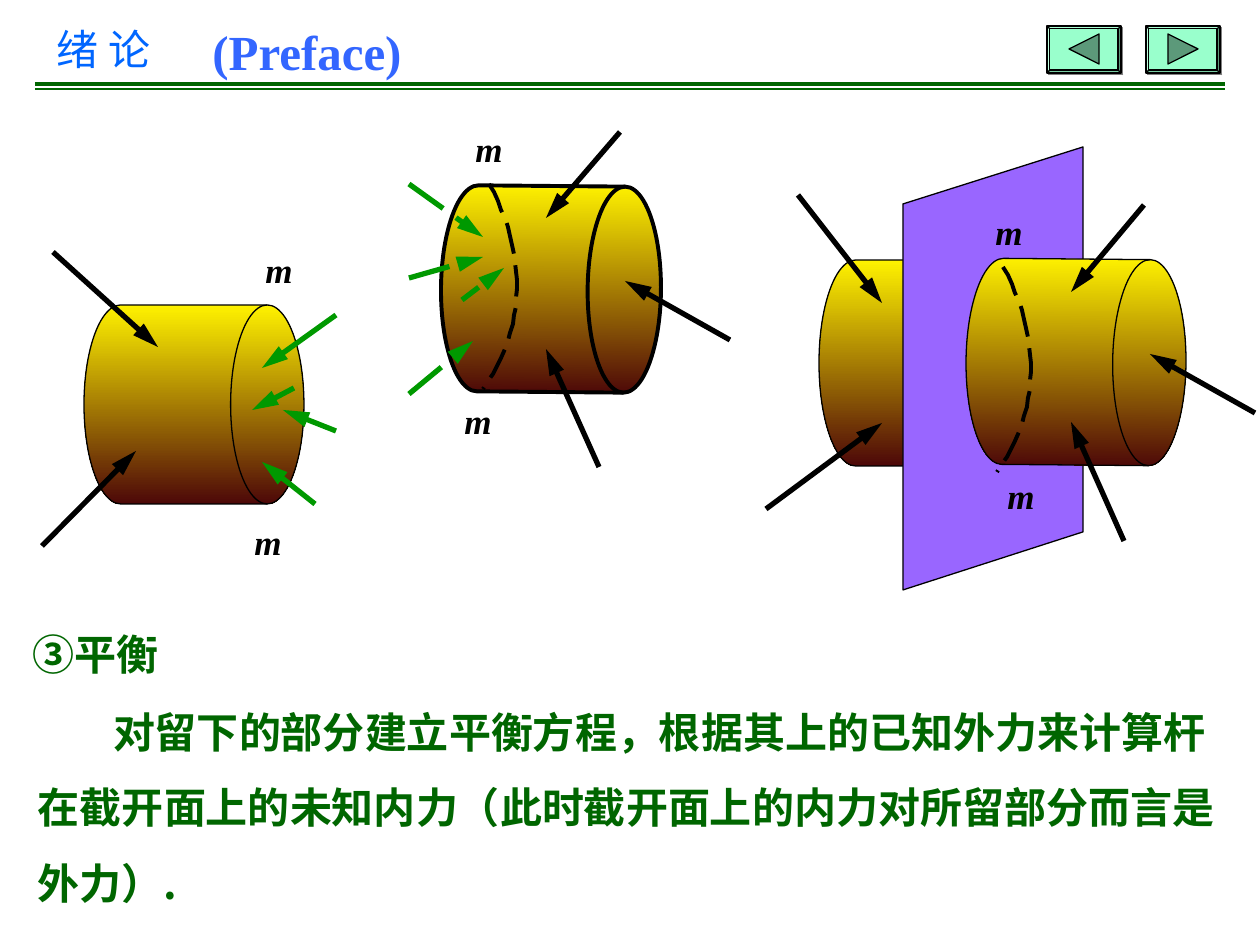
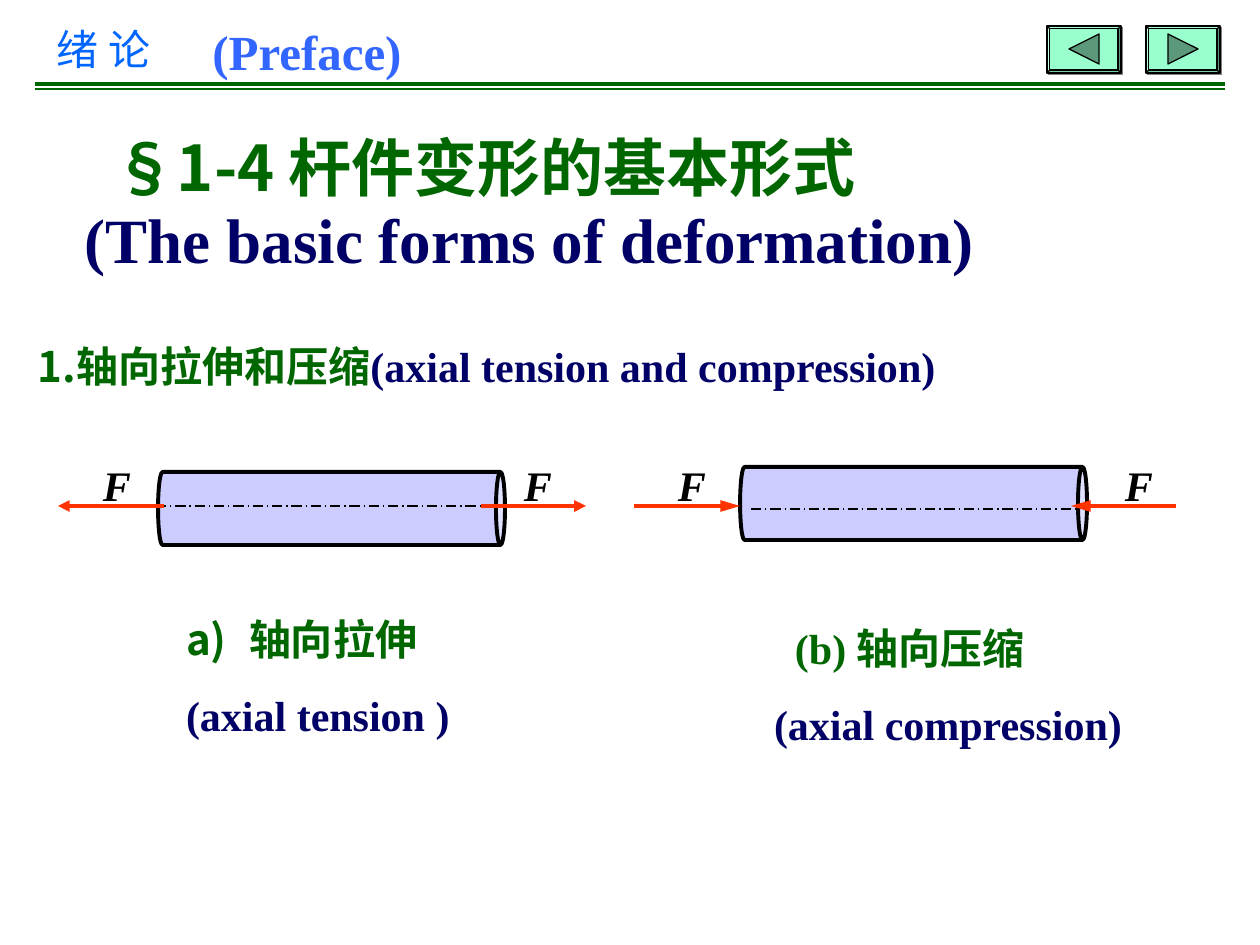
from dataclasses import dataclass

from lxml import etree
from pptx import Presentation
from pptx import util as u
from pptx.dml.color import RGBColor
from pptx.enum import dml, shapes, text
from pptx.oxml.ns import qn

PX = 914400 / 126


@dataclass(frozen=True)
class Theme:
    serif: str = "Times New Roman"
    sans: str = "Noto Sans CJK SC"
    black: str = "000000"
    green: str = "006600"
    navy: str = "000066"
    chapter: str = "0066FF"
    preface: str = "3366FF"
    button: str = "99FFCC"
    button_arrow: str = "5C997A"
    button_shadow: str = "808080"
    inner_force: str = "009900"
    axial_force: str = "FF3300"
    plane: str = "9966FF"
    rod: str = "CCCCFF"
    drum_top: str = "FFF200"
    drum_bottom: str = "4D0808"
    label: int = 20
    body: int = 24
    preface_size: int = 28
    heading: int = 36
    leading: float = 1.2
    hairline: float = 0.75
    medium: float = 2.25
    thick: float = 3


THEME = Theme()
DASH = dml.MSO_LINE

HEADER_RULES = [(84, THEME.medium), (89, THEME.hairline)]
BUTTONS = [(1047, -1), (1146, 1)]

BALANCE_TITLE = "③平衡"
BALANCE_BODY = ("对留下的部分建立平衡方程，根据其上的已知外力来计算杆在截开面上的未知内力"
                "（此时截开面上的内力对所留部分而言是外力）.")
CUT_PLANE = [(903, 204), (1083, 147), (1083, 532), (903, 590)]
SECTION_ARC = [(1003, 267), (1041, 334), (1041, 412), (997, 472)]
WHOLE_LEFT = {
    "drum": (819, 260, 220, 206), "tilt": 0, "width": THEME.hairline,
    "forces": [(798, 195, 882, 303), (766, 509, 882, 423)],
    "marks": [],
}
WHOLE_RIGHT = {
    "drum": (966, 259, 220, 206), "tilt": 0.5, "width": THEME.hairline,
    "forces": [(1144, 205, 1071, 292), (1255, 413, 1150, 354), (1124, 541, 1071, 422)],
    "marks": [(1009, 235), (1021, 498)],
    "arc_shift": (0, 0),
}
LEFT_PART = {
    "drum": (84, 305, 220, 199), "tilt": 0, "width": THEME.hairline,
    "forces": [(53, 252, 158, 347), (42, 546, 136, 451)],
    "marks": [(279, 272), (268, 544)],
    "inner": [(294, 388, 252, 410), (336, 315, 262, 368),
              (336, 431, 283, 410), (315, 504, 262, 462)],
}
RIGHT_PART = {
    "drum": (441, 186, 220, 206), "tilt": 0.5, "width": THEME.medium,
    "forces": [(620, 132, 546, 218), (730, 340, 625, 281), (599, 467, 546, 349)],
    "marks": [(489, 151), (478, 424)],
    "arc_shift": (-514, -83),
    "inner": [(409, 184, 483, 237), (409, 278, 483, 257), (409, 394, 473, 341)],
    "inner_short": [(462, 300, 504, 268)],
}

SECTION_TITLE = [("§1-4 杆件变形的基本形式", THEME.sans, THEME.green, 29, 1.2),
                 ("(The basic forms of deformation)", THEME.serif, THEME.navy, 0, 1.13)]
TOPIC = [("1.轴向拉伸和压缩", THEME.sans, THEME.green),
         ("(axial tension and compression)", THEME.serif, THEME.navy)]
RODS = [
    {"box": (158, 472, 347, 73), "axis": (156, 481, 506),
     "forces": [(164, 58), (481, 586)], "head": "med", "labels": [103, 524]},
    {"box": (740, 467, 347, 73), "axis": (751, 1077, 509),
     "forces": [(634, 740), (1176, 1071)], "head": "lg", "labels": [678, 1125]},
]
FORCE_Y = 506
FORCE_LABEL_TOP = 460
CAPTIONS = [
    {"at": (186, 613), "lines": ("轴向拉伸", "(axial tension )"), "lettered": True, "indent": 0},
    {"at": (774, 622), "lines": ("(b) 轴向压缩", "(axial compression)"),
     "lettered": False, "indent": 21},
]


def px(value):
    return u.Emu(round(value * PX))


def rgb(value):
    return RGBColor.from_string(value)


def add_run(paragraph, words, size, color, font=THEME.serif, bold=True, italic=False):
    run = paragraph.add_run()
    run.text = words
    run.font.size = u.Pt(size)
    run.font.bold = bold
    run.font.italic = italic
    run.font.color.rgb = rgb(color)
    run.font.name = font
    run.font._element.get_or_add_latin().addnext(
        etree.Element(qn("a:ea"), typeface=THEME.sans))


def format_paragraph(paragraph, size, leading=THEME.leading, indent=0, margin=0,
                     align=text.PP_ALIGN.LEFT, before=0):
    paragraph.alignment = align
    paragraph.line_spacing = u.Pt(round(size * leading, 1))
    paragraph.space_before = u.Pt(before)
    properties = paragraph._p.get_or_add_pPr()
    properties.set("marL", str(px(margin)))
    properties.set("indent", str(px(indent)))
    return paragraph


def prepare_frame(shape, left, top, width, height):
    shape.left, shape.top, shape.width, shape.height = map(px, (left, top, width, height))
    frame = shape.text_frame
    frame.word_wrap = True
    frame.auto_size = text.MSO_AUTO_SIZE.NONE
    frame.vertical_anchor = text.MSO_ANCHOR.TOP
    frame.margin_left = frame.margin_right = frame.margin_top = frame.margin_bottom = 0
    return frame


def add_frame(slide, *box):
    return prepare_frame(slide.shapes.add_textbox(0, 0, 0, 0), *box)


def add_label(slide, box, words, size, color, align=text.PP_ALIGN.LEFT, **style):
    paragraph = add_frame(slide, *box).paragraphs[0]
    add_run(format_paragraph(paragraph, size, align=align), words, size, color, **style)


def style_shape(shape, fill, line, width):
    shape.shadow.inherit = False
    if fill:
        shape.fill.solid()
        shape.fill.fore_color.rgb = rgb(fill)
    else:
        shape.fill.background()
    shape.line.color.rgb = rgb(line)
    shape.line.width = u.Pt(width)
    return shape


def add_preset(slide, kind, box, fill, width):
    shape = slide.shapes.add_shape(kind, *map(px, box))
    return style_shape(shape, fill, THEME.black, width)


def add_outline(slide, points, fill, width, close=True):
    builder = slide.shapes.build_freeform(*points[0], scale=PX)
    builder.add_line_segments(points[1:], close=close)
    return style_shape(builder.convert_to_shape(), fill, THEME.black, width)


def add_line(slide, ends, color, width, head=None, dash=None):
    line = slide.shapes.add_connector(shapes.MSO_CONNECTOR.STRAIGHT, *map(px, ends))
    line.line.color.rgb = rgb(color)
    line.line.width = u.Pt(width)
    if dash:
        line.line.dash_style = dash
    if head:
        etree.SubElement(line.line._get_or_add_ln(), qn("a:tailEnd"),
                         type="triangle", w="med", len=head)
    etree.SubElement(line._element.spPr, qn("a:effectLst"))


def add_button(slide, left, direction):
    bevel = add_preset(slide, shapes.MSO_SHAPE.BEVEL, (left, 26, 74, 47),
                       THEME.button, THEME.hairline)
    bevel.adjustments[0] = 0.06
    effects = bevel._element.spPr.find(qn("a:effectLst"))
    shadow = etree.SubElement(effects, qn("a:outerShdw"), dist="17780", dir="2700000")
    etree.SubElement(shadow, qn("a:srgbClr"), val=THEME.button_shadow)
    middle = left + 37
    points = [(middle - 15 * direction, 34), (middle + 15 * direction, 49),
              (middle - 15 * direction, 64)]
    add_outline(slide, points, THEME.button_arrow, THEME.hairline)


def add_slide(presentation):
    slide = presentation.slides.add_slide(presentation.slide_layouts[5])
    add_label(slide, (57, 24, 130, 50), "绪 论", THEME.body, THEME.chapter,
              font=THEME.sans, bold=False)
    for y, width in HEADER_RULES:
        add_line(slide, (35, y, 1225, y), THEME.green, width)
    add_label(slide, (146, 22, 322, 59), "(Preface)", THEME.preface_size, THEME.preface,
              align=text.PP_ALIGN.CENTER)
    for left, direction in BUTTONS:
        add_button(slide, left, direction)
    return slide


def bezier(points, steps=24):
    def at(t, axis):
        a, b, c, d = (point[axis] for point in points)
        s = 1 - t
        return s**3 * a + 3 * s * s * t * b + 3 * s * t * t * c + t**3 * d
    return [(at(i / steps, 0), at(i / steps, 1)) for i in range(steps + 1)]


def add_body_part(slide, part):
    drum = add_preset(slide, shapes.MSO_SHAPE.FLOWCHART_DIRECT_ACCESS_STORAGE,
                      part["drum"], None, part["width"])
    drum.rotation = part["tilt"]
    drum.fill.gradient()
    drum.fill.gradient_angle = 270
    for stop, color in zip(drum.fill.gradient_stops, (THEME.drum_top, THEME.drum_bottom)):
        stop.color.rgb = rgb(color)
    for ends in part["forces"]:
        add_line(slide, ends, THEME.black, THEME.thick, "lg")
    if "arc_shift" in part:
        dx, dy = part["arc_shift"]
        points = [(x + dx, y + dy) for x, y in bezier(SECTION_ARC)]
        arc = add_outline(slide, points, None, THEME.medium, close=False)
        arc.line.dash_style = DASH.LONG_DASH
    for x, y in part["marks"]:
        add_label(slide, (x - 26, y - 24, 52, 42), "m", THEME.label, THEME.black,
                  align=text.PP_ALIGN.CENTER, italic=True)
    inner_dash = DASH.LONG_DASH if "inner_short" in part else None
    for key, dash in (("inner", inner_dash), ("inner_short", DASH.DASH)):
        for ends in part.get(key, []):
            add_line(slide, ends, THEME.inner_force, THEME.thick, "lg", dash)


def build_balance(presentation):
    slide = add_slide(presentation)
    title = prepare_frame(slide.shapes.title, 33, 628, 1100, 50).paragraphs[0]
    add_run(format_paragraph(title, THEME.body), BALANCE_TITLE, THEME.body, THEME.green)
    body = add_frame(slide, 38, 681, 1189, 228).paragraphs[0]
    format_paragraph(body, THEME.body, leading=1.8, indent=75)
    add_run(body, BALANCE_BODY, THEME.body, THEME.green, font=THEME.sans)
    add_body_part(slide, WHOLE_LEFT)
    add_outline(slide, CUT_PLANE, THEME.plane, THEME.hairline)
    for part in (WHOLE_RIGHT, LEFT_PART, RIGHT_PART):
        add_body_part(slide, part)


def add_rod(slide, rod):
    left, top, length, depth = rod["box"]
    inset = (length - depth) / 2
    can = add_preset(slide, shapes.MSO_SHAPE.CAN, (left + inset, top - inset, depth, length),
                     THEME.rod, THEME.medium)
    can.adjustments[0] = 0.124
    can.rotation = 90
    start, end, y = rod["axis"]
    add_line(slide, (start, y, end, y), THEME.black, THEME.hairline,
             dash=DASH.LONG_DASH_DOT)
    for start, end in rod["forces"]:
        add_line(slide, (start, FORCE_Y, end, FORCE_Y), THEME.axial_force,
                 THEME.medium, rod["head"])
    for x in rod["labels"]:
        add_label(slide, (x, FORCE_LABEL_TOP, 48, 50), "F", THEME.body, THEME.black,
                  italic=True)


def add_caption(slide, caption):
    frame = add_frame(slide, *caption["at"], 400, 130)
    name, translation = caption["lines"]
    first = frame.paragraphs[0]
    if caption["lettered"]:
        format_paragraph(first, THEME.body, margin=63, indent=-63)
        properties = first._p.get_or_add_pPr()
        color = etree.SubElement(properties, qn("a:buClr"))
        etree.SubElement(color, qn("a:srgbClr"), val=THEME.green)
        etree.SubElement(properties, qn("a:buFont"), typeface=THEME.sans)
        etree.SubElement(properties, qn("a:buAutoNum"), type="alphaLcParenR")
    else:
        format_paragraph(first, THEME.body, indent=caption["indent"])
    add_run(first, name, THEME.body, THEME.green)
    second = format_paragraph(frame.add_paragraph(), THEME.body, before=15)
    add_run(second, translation, THEME.body, THEME.navy)


def build_deformation(presentation):
    slide = add_slide(presentation)
    frame = prepare_frame(slide.shapes.title, 85, 129, 1073, 150)
    for index, (words, font, color, indent, leading) in enumerate(SECTION_TITLE):
        paragraph = frame.add_paragraph() if index else frame.paragraphs[0]
        format_paragraph(paragraph, THEME.heading, leading, indent)
        add_run(paragraph, words, THEME.heading, color, font)
    topic = format_paragraph(add_frame(slide, 38, 341, 1119, 50).paragraphs[0], THEME.body)
    for words, font, color in TOPIC:
        add_run(topic, words, THEME.body, color, font)
    for rod in RODS:
        add_rod(slide, rod)
    for caption in CAPTIONS:
        add_caption(slide, caption)


def main():
    presentation = Presentation()
    presentation.slide_width, presentation.slide_height = px(1260), px(945)
    build_balance(presentation)
    build_deformation(presentation)
    presentation.save("out.pptx")


if __name__ == "__main__":
    main()
